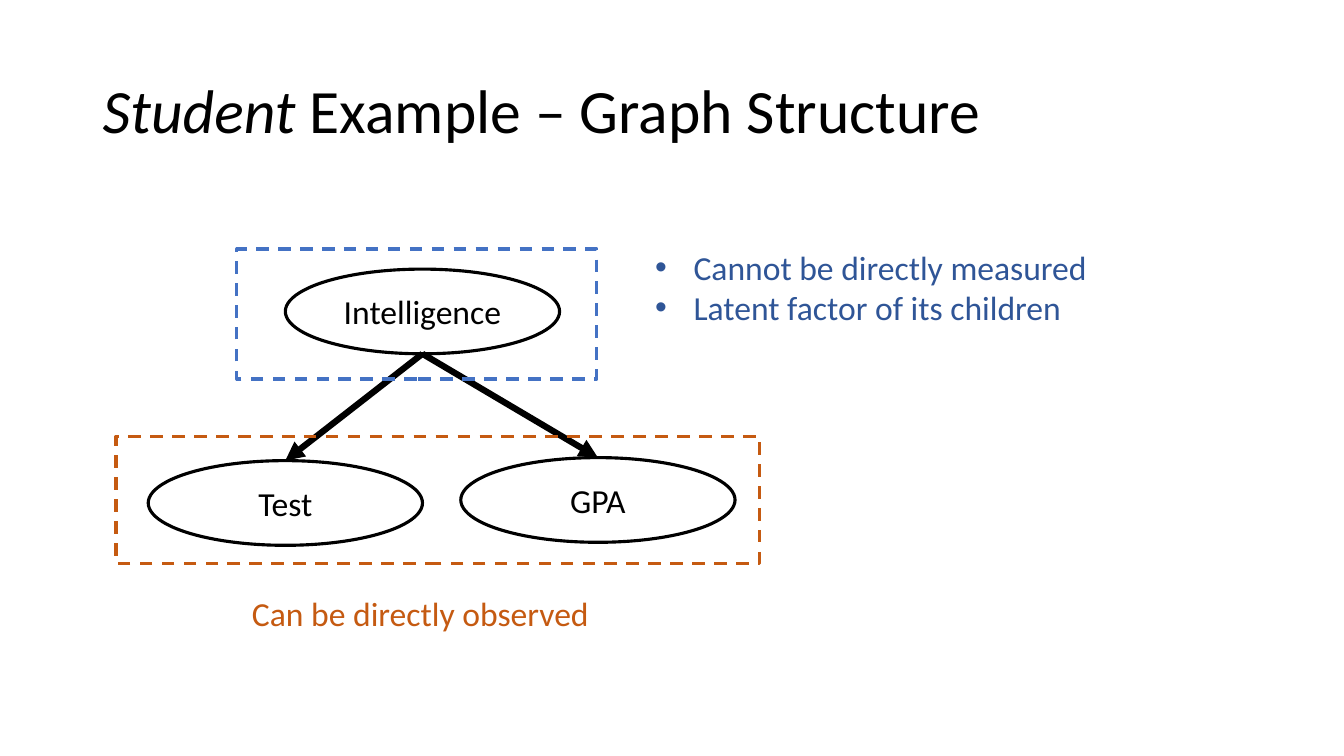
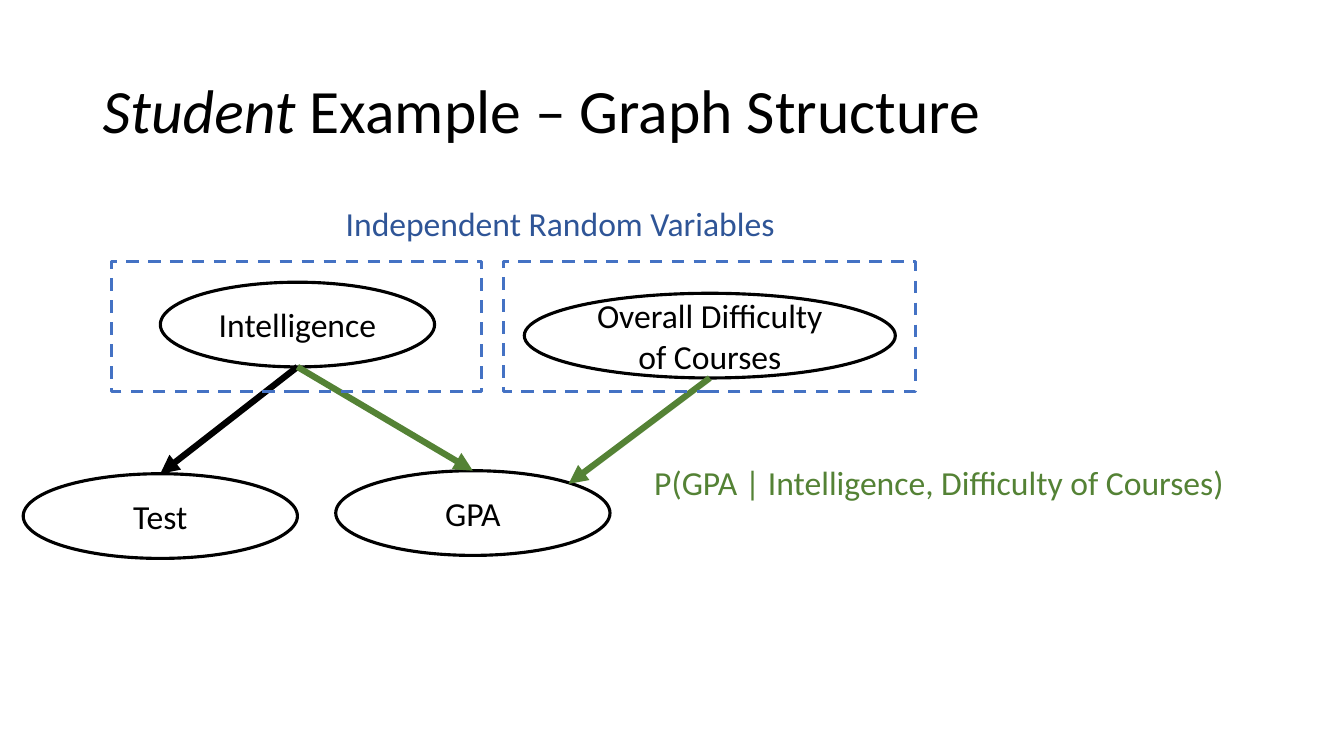
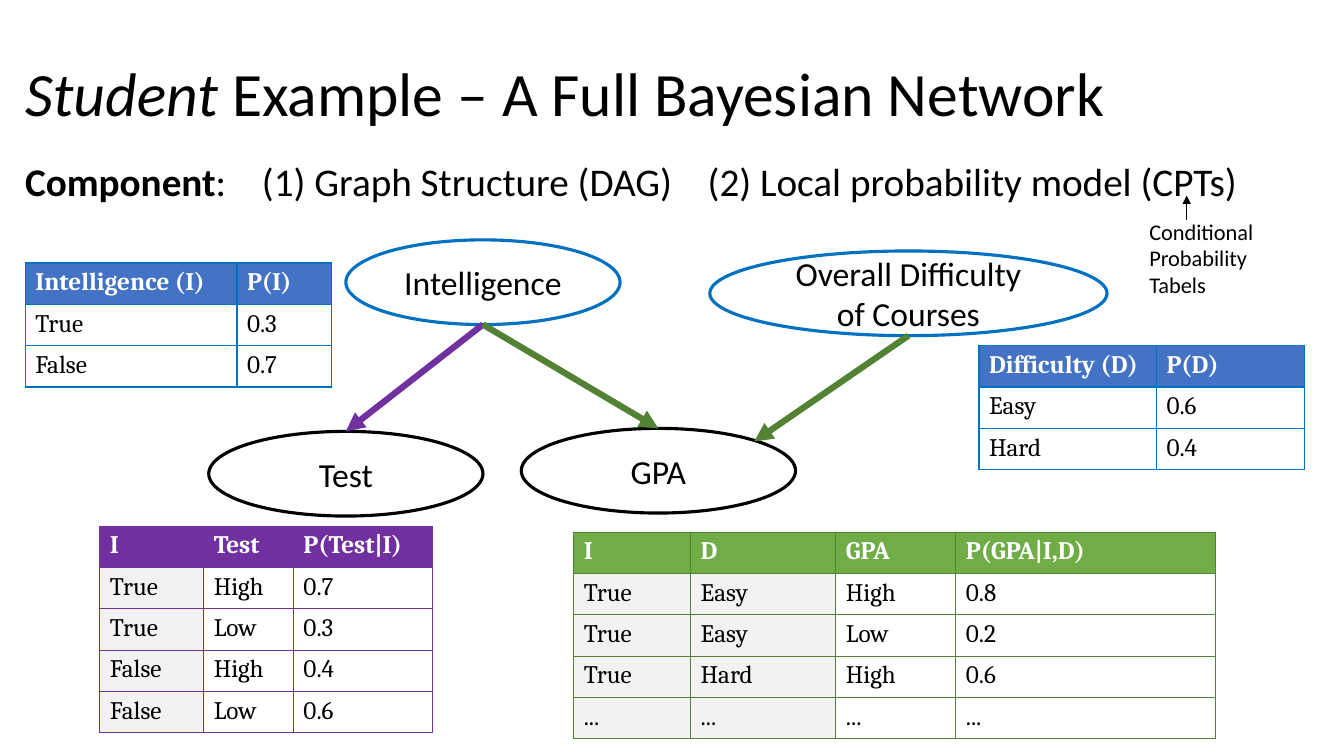
from dataclasses import dataclass

from lxml.etree import SubElement
from pptx import Presentation
from pptx.dml.color import RGBColor
from pptx.enum.dml import MSO_LINE
from pptx.enum.shapes import MSO_CONNECTOR, MSO_SHAPE
from pptx.enum.text import MSO_ANCHOR, PP_ALIGN
from pptx.oxml.ns import qn
from pptx.util import Pt

PX = 9144  # EMU per px, 100 px to the inch


@dataclass(frozen=True)
class Theme:
    # Colours
    black: str = "000000"
    white: str = "FFFFFF"
    shade: str = "F2F2F2"
    blue: str = "4472C4"
    blue_text: str = "2F5597"
    blue_line: str = "0070C0"
    orange: str = "C55A11"
    green: str = "70AD47"
    green_dark: str = "548235"
    purple: str = "7030A0"
    # Fonts and type sizes
    body_font: str = "Calibri"
    table_font: str = "Cambria"
    title_size: int = 44
    lead_size: int = 28
    body_size: int = 24
    table_size: int = 18
    note_size: int = 16
    # Line widths
    outline: float = 2.25
    edge: float = 4.5
    thin: float = 0.5
    border: int = 1


THEME = Theme()


@dataclass(frozen=True)
class Node:
    """An oval of the graph, with the points where its edges meet it."""
    left: int
    top: int
    width: int = 272
    height: int = 84

    @property
    def box(self):
        return self.left, self.top, self.width, self.height

    def point(self, across, down):
        return round(self.left + across * self.width), round(self.top + down * self.height)

    @property
    def head(self):
        return self.point(0.5, 0)

    @property
    def foot(self):
        return self.point(0.5, 1)

    @property
    def shoulder(self):
        return self.point(0.85, 0.15)


class Deck:
    def __init__(self, theme, width, height):
        self.theme = theme
        self.prs = Presentation()
        self.prs.slide_width, self.prs.slide_height = width * PX, height * PX
        self.slide = None

    # Slide and text
    def new_slide(self, subject, left=92, top=40):
        self.slide = self.prs.slides.add_slide(self.prs.slide_layouts[6])
        frame = self.text((left, top, 1150, 145), "Student", size=self.theme.title_size)
        frame.vertical_anchor = MSO_ANCHOR.MIDDLE
        heading = frame.paragraphs[0]
        heading.line_spacing = 0.9
        heading.runs[0].font.italic = True
        self.add_run(heading, f" Example – {subject}", self.theme.title_size)

    def style(self, font, size, color, name=None):
        font.size, font.name = Pt(size), name or self.theme.body_font
        font.color.rgb = RGBColor.from_string(color)

    def add_run(self, paragraph, words, size):
        run = paragraph.add_run()
        run.text = words
        self.style(run.font, size, self.theme.black)

    def fill_text(self, frame, words, size, color, name=None):
        frame.text = words
        frame.word_wrap = True
        for paragraph in frame.paragraphs:
            for run in paragraph.runs:
                self.style(run.font, size, color, name)

    def text(self, box, words, color=None, size=None):
        frame = self.slide.shapes.add_textbox(*(n * PX for n in box)).text_frame
        self.fill_text(frame, words, size or self.theme.body_size, color or self.theme.black)
        return frame

    def bullets(self, box, lines, color, indent=38):
        for paragraph in self.text(box, "\n".join(lines), color).paragraphs:
            props = paragraph._p.get_or_add_pPr()
            props.set("marL", str(indent * PX))
            props.set("indent", str(-indent * PX))
            SubElement(props, qn("a:buFont"), typeface="Arial")
            SubElement(props, qn("a:buChar"), char="•")

    def lead_line(self, box, term, parts, stops):
        size = self.theme.lead_size
        paragraph = self.text(box, term, size=size).paragraphs[0]
        paragraph.runs[0].font.bold = True
        self.add_run(paragraph, "\t".join([":", *parts]), size)
        tabs = SubElement(paragraph._p.get_or_add_pPr(), qn("a:tabLst"))
        for stop in stops:
            SubElement(tabs, qn("a:tab"), pos=str(stop * PX), algn="l")

    # Outlined shapes and arrows
    def outline(self, kind, box, color):
        shape = self.slide.shapes.add_shape(kind, *(n * PX for n in box))
        shape.shadow.inherit = False
        shape.fill.background()
        shape.line.color.rgb = RGBColor.from_string(color)
        shape.line.width = Pt(self.theme.outline)
        return shape

    def frame(self, box, color):
        self.outline(MSO_SHAPE.RECTANGLE, box, color).line.dash_style = MSO_LINE.DASH

    def oval(self, node, words, color):
        frame = self.outline(MSO_SHAPE.OVAL, node.box, color).text_frame
        self.fill_text(frame, words, self.theme.body_size, self.theme.black)
        frame.vertical_anchor = MSO_ANCHOR.MIDDLE
        frame.paragraphs[0].alignment = PP_ALIGN.CENTER

    def arrow(self, start, end, color, width=None):
        line = self.slide.shapes.add_connector(
            MSO_CONNECTOR.STRAIGHT, *(n * PX for n in (*start, *end)))
        line.line.color.rgb = RGBColor.from_string(color)
        line.line.width = Pt(width or self.theme.edge)
        props = line.element.spPr
        SubElement(props.find(qn("a:ln")), qn("a:tailEnd"), type="triangle")
        SubElement(props, qn("a:effectLst"))

    # Graph: Intelligence points to Test and GPA, Difficulty points to GPA
    def graph(self, left, top, cause=None, test_edge=None, gpa_edge=None, difficulty=None):
        black = self.theme.black
        cause = cause or black
        intelligence = Node(left + 136, top)
        test, gpa = Node(left, top + 190), Node(left + 310, top + 187)
        self.oval(intelligence, "Intelligence", cause)
        self.oval(test, "Test", black)
        self.oval(gpa, "GPA", black)
        self.arrow(intelligence.foot, test.head, test_edge or black)
        self.arrow(intelligence.foot, gpa.head, gpa_edge or black)
        if difficulty:
            self.oval(difficulty, "Overall Difficulty of Courses", cause)
            self.arrow(difficulty.foot, gpa.shoulder, gpa_edge)

    # Probability table, the columns of given values shaded
    def table(self, left, top, widths, rows, header, border, given=0, row_height=41):
        theme = self.theme
        table = self.slide.shapes.add_table(
            len(rows), len(widths), left * PX, top * PX,
            sum(widths) * PX, len(rows) * row_height * PX).table
        table.horz_banding = False
        for column, width in zip(table.columns, widths):
            column.width = width * PX
        for r, row in enumerate(rows):
            for c, words in enumerate(row):
                cell = table.cell(r, c)
                self.fill_text(cell.text_frame, words, theme.table_size,
                               theme.black if r else theme.white, theme.table_font)
                cell.text_frame.paragraphs[0].runs[0].font.bold = r == 0
                self.borders(cell, border)
                back = header if r == 0 else theme.shade if c < given else theme.white
                cell.fill.solid()
                cell.fill.fore_color.rgb = RGBColor.from_string(back)

    def borders(self, cell, color):
        props = cell._tc.get_or_add_tcPr()
        for side in "LRTB":
            line = SubElement(props, qn(f"a:ln{side}"), w=str(Pt(self.theme.border)))
            SubElement(SubElement(line, qn("a:solidFill")), qn("a:srgbClr"), val=color)


def latent_factor(deck):
    t = deck.theme
    deck.new_slide("Graph Structure")
    deck.graph(147, 267)
    deck.frame((115, 433, 638, 126), t.orange)
    deck.text((240, 583, 409, 50), "Can be directly observed", t.orange)
    deck.frame((235, 247, 357, 129), t.blue)
    deck.bullets((640, 240, 612, 91),
                 ["Cannot be directly measured", "Latent factor of its children"], t.blue_text)


def independent_causes(deck):
    t = deck.theme
    deck.new_slide("Graph Structure")
    deck.graph(23, 280, gpa_edge=t.green_dark, difficulty=Node(520, 291, 368))
    for left, width in ((111, 367), (499, 409)):
        deck.frame((left, 259, width, 129), t.blue)
    deck.text((333, 196, 612, 50), "Independent Random Variables", t.blue_text)
    deck.text((639, 453, 622, 50), "P(GPA | Intelligence, Difficulty of Courses)", t.green_dark)


def full_network(deck):
    t = deck.theme
    deck.new_slide("A Full Bayesian Network", 15, 23)
    deck.graph(207, 238, t.blue_line, t.purple, t.green_dark, Node(704, 249, 394))

    # Probability tables
    deck.table(25, 261, [210, 94],
               [["Intelligence (I)", "P(I)"], ["True", "0.3"], ["False", "0.7"]],
               t.blue, t.blue_line)
    deck.table(971, 343, [176, 147],
               [["Difficulty (D)", "P(D)"], ["Easy", "0.6"], ["Hard", "0.4"]],
               t.blue, t.blue_line)
    deck.table(569, 528, [116, 144, 119, 258],
               [["I", "D", "GPA", "P(GPA|I,D)"],
                ["True", "Easy", "High", "0.8"],
                ["True", "Easy", "Low", "0.2"],
                ["True", "Hard", "High", "0.6"],
                ["..."] * 4],
               t.green, t.green_dark, given=2)
    deck.table(99, 522, [103, 89, 138],
               [["I", "Test", "P(Test|I)"],
                ["True", "High", "0.7"],
                ["True", "Low", "0.3"],
                ["False", "High", "0.4"],
                ["False", "Low", "0.6"]],
               t.purple, t.purple, given=1)

    # Components and the note on the abbreviation
    deck.lead_line((15, 151, 1318, 57), "Component",
                   ["(1) Graph Structure (DAG)", "(2) Local probability model (CPTs)"],
                   [235, 677])
    deck.text((1130, 211, 172, 91), "Conditional Probability Tabels", size=t.note_size)
    deck.arrow((1177, 218), (1177, 194), t.black, t.thin)


def main():
    deck = Deck(THEME, 1333, 750)
    latent_factor(deck)
    independent_causes(deck)
    full_network(deck)
    deck.prs.save("out.pptx")


if __name__ == "__main__":
    main()
